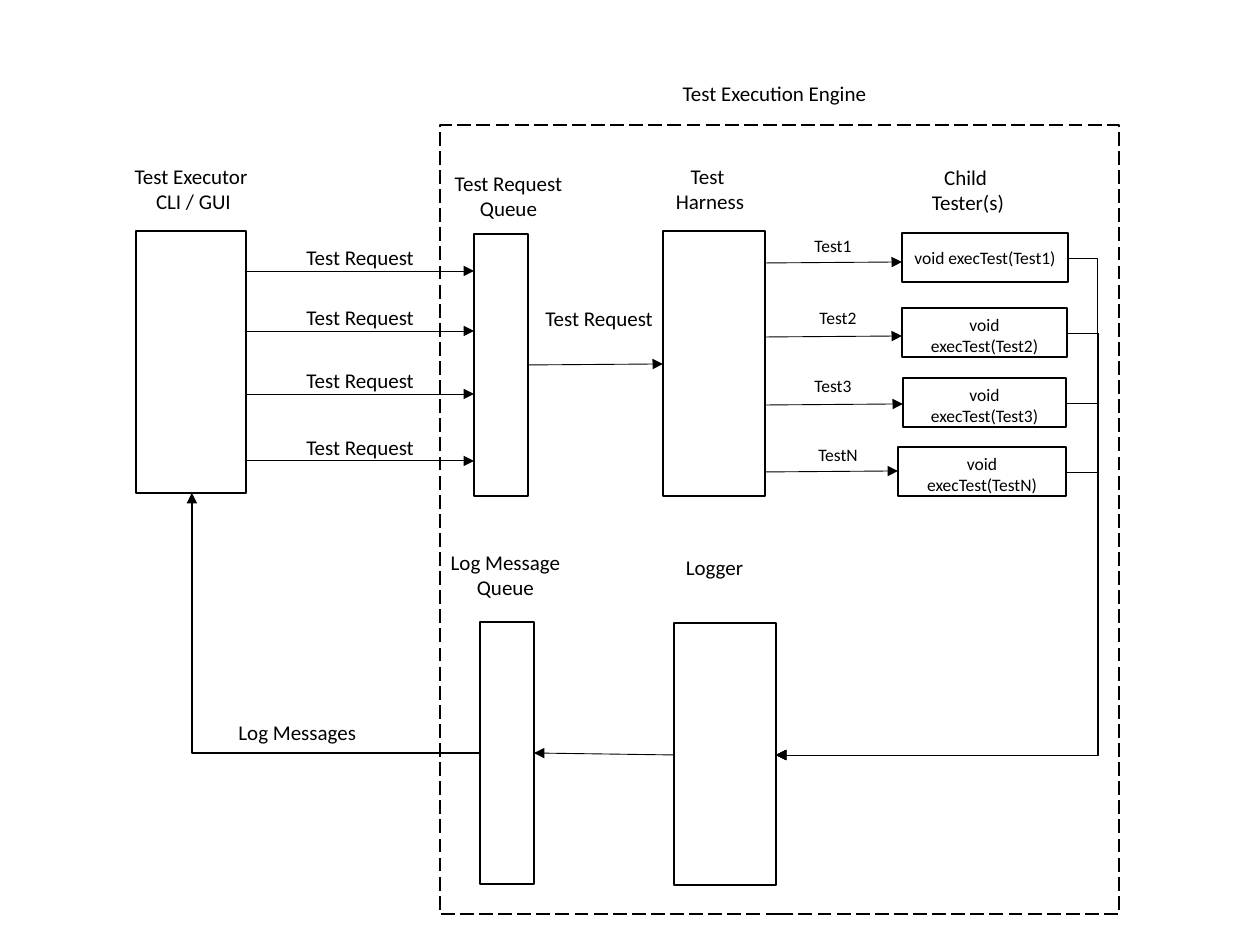
from pptx import Presentation
from pptx.dml.color import RGBColor
from pptx.enum.dml import MSO_LINE
from pptx.enum.shapes import MSO_CONNECTOR, MSO_SHAPE
from pptx.enum.text import MSO_ANCHOR, PP_ALIGN
from pptx.oxml.ns import qn
from pptx.util import Inches, Pt
from lxml import etree

PX = 914400 // 126
BLACK = RGBColor(0, 0, 0)
WHITE = RGBColor(255, 255, 255)
RECTANGLE = MSO_SHAPE.RECTANGLE
STRAIGHT, ELBOW = MSO_CONNECTOR.STRAIGHT, MSO_CONNECTOR.ELBOW
LEFT, CENTER = PP_ALIGN.LEFT, PP_ALIGN.CENTER
TOP, MIDDLE = MSO_ANCHOR.TOP, MSO_ANCHOR.MIDDLE

deck = Presentation()
deck.slide_width, deck.slide_height = Inches(10), Inches(7.5)
page = deck.slides.add_slide(deck.slide_layouts[6])


def add_box(left, top, width, height, text="", size=12, align=CENTER,
            anchor=TOP, wrap=True, outline=False, fill=None):
    area = [length * PX for length in (left, top, width, height)]
    if outline:
        box = page.shapes.add_shape(RECTANGLE, *area)
        box.shadow.inherit = False
        box.line.color.rgb = BLACK
        box.line.width = Pt(1)
        if fill is None:
            box.fill.background()
        else:
            box.fill.solid()
            box.fill.fore_color.rgb = fill
    else:
        box = page.shapes.add_textbox(*area)
    frame = box.text_frame
    frame.word_wrap = wrap
    frame.vertical_anchor = anchor
    for index, words in enumerate(text.split("\n") if text else []):
        para = frame.add_paragraph() if index else frame.paragraphs[0]
        para.alignment = align
        span = para.add_run()
        span.text = words
        span.font.name = "Calibri"
        span.font.size = Pt(size)
        span.font.color.rgb = BLACK
    return box


def add_arrow(x1, y1, x2, y2, kind=STRAIGHT, weight=0.5):
    arrow = page.shapes.add_connector(kind, x1 * PX, y1 * PX, x2 * PX, y2 * PX)
    arrow.line.color.rgb = BLACK
    arrow.line.width = Pt(weight)
    etree.SubElement(arrow.line._get_or_add_ln(), qn("a:tailEnd"), type="triangle")
    properties = arrow._element.spPr
    etree.SubElement(properties, qn("a:effectLst"))
    return properties.find(qn("a:prstGeom"))


# Engine boundary
engine = add_box(440, 125, 679, 789, outline=True)
engine.line.dash_style = MSO_LINE.LONG_DASH
add_box(665, 74, 219, 38, "Test Execution Engine")

# Components: executor, request queue, harness, log queue, logger
for area in [(136, 231, 110, 262), (474, 234, 54, 262), (663, 231, 102, 265),
             (480, 622, 54, 262), (674, 623, 102, 262)]:
    add_box(*area, outline=True)

# Component titles
for left, top, width, height, title in [
        (435, 164, 147, 63, "Test Request Queue"),
        (629, 157, 162, 63, "Test \nHarness"),
        (887, 158, 162, 63, "Child \nTester(s)"),
        (432, 543, 147, 63, "Log Message Queue"),
        (641, 548, 147, 38, "Logger")]:
    add_box(left, top, width, height, title)
add_box(121, 157, 145, 63, "Test Executor \nCLI / GUI", wrap=False)

# Requests from the executor to the queue, then on to the harness
for y, label_top in [(271, 238), (331, 298), (394, 361), (461, 428)]:
    add_arrow(247, y, 474, y)
    add_box(294, label_top, 135, 38, "Test Request", align=LEFT, wrap=False)
add_arrow(528, 365, 663, 364)
add_box(533, 299, 135, 38, "Test Request", align=LEFT, wrap=False)

# Child testers, each called by the harness and reporting to the logger
BUS_X, LOGGER_X, LOGGER_Y = 1098, 776, 755
for name, left, top, width, arrow_y, label_left, label_top, anchor in [
        ("Test1", 902, 233, 166, 263, 794, 229, MIDDLE),
        ("Test2", 902, 308, 165, 337, 799, 301, TOP),
        ("Test3", 903, 378, 163, 405, 794, 369, TOP),
        ("TestN", 898, 447, 168, 472, 799, 438, TOP)]:
    add_box(left, top, width, 49, f"void execTest({name})", size=10,
            anchor=anchor, outline=True, fill=WHITE)
    add_arrow(765, arrow_y, left, arrow_y - 1)
    add_box(label_left, label_top, 78, 34, name, size=10)
    right = left + width
    bend = add_arrow(right, top + 25, LOGGER_X, LOGGER_Y, kind=ELBOW)
    ratio = (right - BUS_X) / (right - LOGGER_X)
    etree.SubElement(bend.get_or_add_avLst(), qn("a:gd"), name="adj1",
                     fmla=f"val {round(ratio * 100000)}")

# Log messages back to the executor
add_arrow(674, 755, 534, 753)
corner = add_arrow(480, 753, 192, 493, kind=ELBOW, weight=0.75)
corner.set("prst", "bentConnector2")
add_box(226, 713, 145, 38, "Log Messages", align=LEFT, wrap=False)

deck.save("out.pptx")
